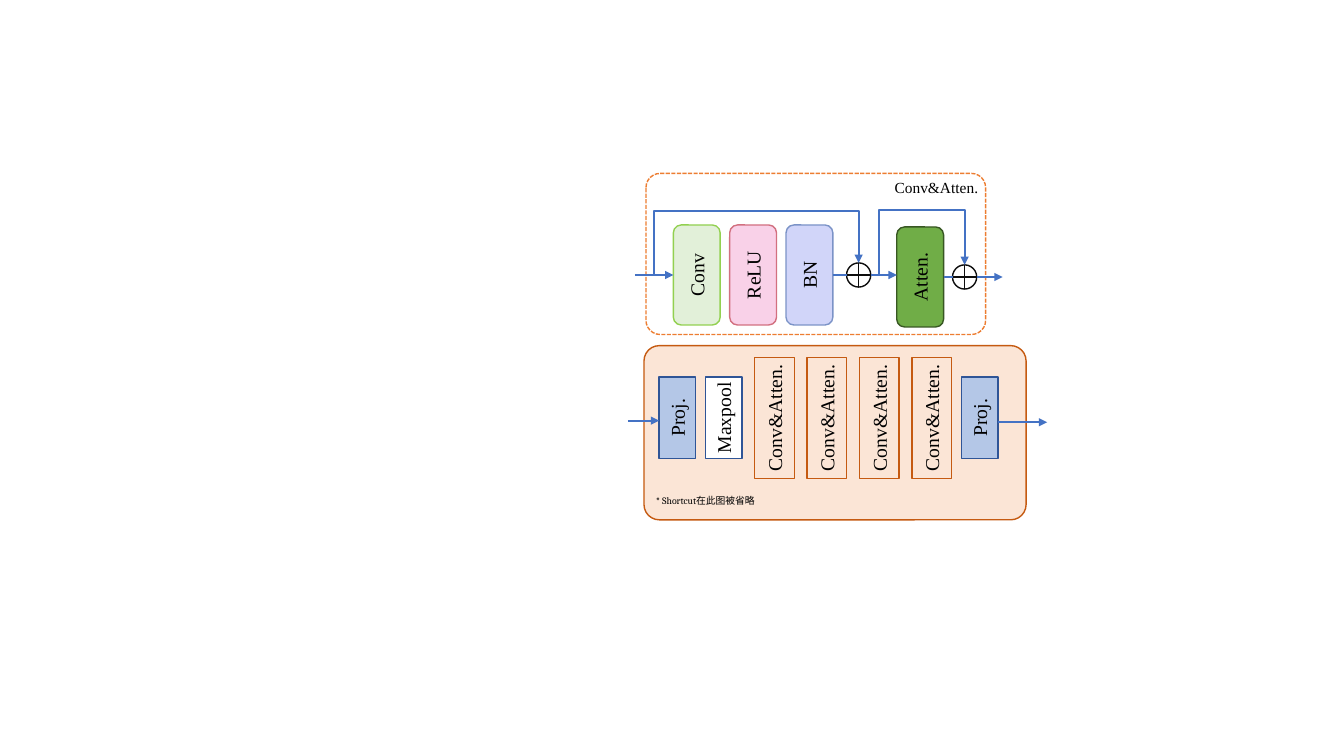
from lxml import etree
from pptx import Presentation
from pptx import util as u
from pptx.dml.color import RGBColor
from pptx.enum import dml, shapes, text
from pptx.oxml.ns import qn

SERIF = "Times New Roman"
FLOW_BLUE = "4472C4"
SUM_SIZE = 0.61


def color(value):
    """Return the colour for a hex string."""
    return RGBColor.from_string(value)


def add_box(slide, kind, left, top, width, height, fill, line, corner=None):
    """Add an outlined preset shape, unfilled when fill is None."""
    shape = slide.shapes.add_shape(kind, u.Cm(left), u.Cm(top), u.Cm(width), u.Cm(height))
    shape.shadow.inherit = False
    if fill:
        shape.fill.solid()
        shape.fill.fore_color.rgb = color(fill)
    else:
        shape.fill.background()
    shape.line.color.rgb = color(line)
    shape.line.width = u.Pt(1)
    if corner:
        shape.adjustments[0] = corner
    return shape


def add_text(slide, left, top, width, height, words, size, font=SERIF):
    """Add a wrapping text box and return it with its paragraph."""
    shape = slide.shapes.add_textbox(u.Cm(left), u.Cm(top), u.Cm(width), u.Cm(height))
    shape.text_frame.word_wrap = True
    paragraph = shape.text_frame.paragraphs[0]
    paragraph.add_run().text = words
    paragraph.font.size = u.Pt(size)
    paragraph.font.name = font
    paragraph.font.color.rgb = color("000000")
    return shape, paragraph


def add_layer(slide, kind, left, top, width, height, fill, line, label, length=2.36):
    """Add a network layer with its label turned upwards and centred on it."""
    layer = add_box(slide, kind, left, top, width, height, fill, line)
    thickness = 0.86
    shape, paragraph = add_text(slide, left + (width - length) / 2,
                                top + (height - thickness) / 2, length, thickness, label, 14)
    paragraph.alignment = text.PP_ALIGN.CENTER
    shape.rotation = 270
    return layer


def add_flow(slide, start, end, arrow=True, kind=shapes.MSO_CONNECTOR.STRAIGHT):
    """Add a blue connector between two points."""
    connector = slide.shapes.add_connector(kind, *(u.Cm(value) for value in start + end))
    connector.line.color.rgb = color(FLOW_BLUE)
    connector.line.width = u.Pt(1.5)
    properties = connector._element.spPr
    if arrow:
        etree.SubElement(properties.find(qn("a:ln")), qn("a:tailEnd"), type="triangle")
    etree.SubElement(properties, qn("a:effectLst"))
    return connector


def add_shortcut(slide, start, end, peak):
    """Add an elbow that rises to peak and drops onto end."""
    connector = add_flow(slide, start, end, kind=shapes.MSO_CONNECTOR.ELBOW)
    geometry = connector._element.spPr.find(qn("a:prstGeom"))
    geometry.set("prst", "bentConnector4")
    guides = geometry.find(qn("a:avLst"))
    rise = round((start[1] - peak) / (start[1] - end[1]) * 100000)
    for name, value in (("adj1", 0), ("adj2", rise)):
        etree.SubElement(guides, qn("a:gd"), name=name, fmla=f"val {value}")


def add_sum(slide, center_x, center_y):
    """Add a circled plus around a centre and return its top point."""
    radius = SUM_SIZE / 2
    add_box(slide, shapes.MSO_SHAPE.FLOWCHART_OR, center_x - radius, center_y - radius,
            SUM_SIZE, SUM_SIZE, "FFFFFF", "0D0D0D")
    return center_x, center_y - radius


def add_stage(slide, left, top, width, height):
    """Draw the whole stage: projections, pooling and repeated blocks."""
    add_box(slide, shapes.MSO_SHAPE.ROUNDED_RECTANGLE, left, top, width, height,
            "FBE5D6", "C55A11", 0.088)
    for offset, label, fill, length in ((0.38, "Proj.", "B4C7E7", 1.85),
                                        (1.55, "Maxpool", "FFFFFF", 2.36),
                                        (8, "Proj.", "B4C7E7", 1.85)):
        add_layer(slide, shapes.MSO_SHAPE.RECTANGLE, left + offset, top + 0.79, 0.92, 2.06,
                  fill, "2F5597", label, length)
    for index in range(4):
        add_layer(slide, shapes.MSO_SHAPE.RECTANGLE, left + 2.79 + 1.32 * index, top + 0.3,
                  1, 3.05, "FBE5D6", "C55A11", "Conv&Atten.", 3.2)
    add_flow(slide, (left - 0.41, top + 1.89), (left + 0.38, top + 1.89))
    add_flow(slide, (left + 8.92, top + 1.93), (left + 10.16, top + 1.93))

    paragraph = add_text(slide, left + 0.05, top + 3.63, 3.73, 0.56,
                         "* Shortcut", 7, "Cambria")[1]
    chinese = paragraph.add_run()
    chinese.text = "在此图被省略"
    chinese.font.name = "Noto Sans CJK SC"
    etree.SubElement(chinese.font._element, qn("a:ea"), typeface="Noto Sans CJK SC")


def add_block(slide, left, top, width, height):
    """Draw the convolution and attention block with its two shortcuts."""
    frame = add_box(slide, shapes.MSO_SHAPE.ROUNDED_RECTANGLE, left, top, width, height,
                    None, "ED7D31", 0.088)
    frame.line.dash_style = dml.MSO_LINE.SQUARE_DOT
    title = add_text(slide, left + 5.72, top, 3.2, 0.74, "Conv&Atten.", 11)[1]
    title.alignment = text.PP_ALIGN.CENTER

    layers = {}
    for offset_x, offset_y, label, fill, line in (
            (0.69, 1.3, "Conv", "E2F0D9", "92D050"),
            (2.11, 1.3, "ReLU", "F9D1E8", "D27080"),
            (3.53, 1.3, "BN", "D1D5F9", "7B93C7"),
            (6.32, 1.35, "Atten.", "70AD47", "385723")):
        layers[label] = add_layer(slide, shapes.MSO_SHAPE.ROUNDED_RECTANGLE, left + offset_x,
                                  top + offset_y, 1.18, 2.52, fill, line, label)

    conv_y, atten_y = top + 2.56, top + 2.61
    first_x, second_x = left + 5.36, left + 8.03
    radius = SUM_SIZE / 2
    first_top = add_sum(slide, first_x, conv_y)
    second_top = add_sum(slide, second_x, atten_y)
    add_shortcut(slide, (left + 0.2, conv_y), first_top, top + 0.94)
    add_shortcut(slide, (left + 5.87, conv_y), second_top, top + 0.92)

    entry = add_flow(slide, (left - 0.28, conv_y), (left + 0.69, conv_y))
    entry.end_connect(layers["Conv"], 1)
    for label, offset, center_x, y in (("BN", 4.71, first_x, conv_y),
                                       ("Atten.", 7.5, second_x, atten_y)):
        joint = add_flow(slide, (left + offset, y), (center_x - radius, y), arrow=False)
        joint.begin_connect(layers[label], 3)
    add_flow(slide, (first_x + radius, conv_y), (left + 6.32, conv_y))
    add_flow(slide, (second_x + radius, atten_y), (left + 8.99, atten_y))


def main():
    """Build the slide and save it."""
    presentation = Presentation()
    presentation.slide_width = u.Cm(33.87)
    presentation.slide_height = u.Cm(19.05)
    slide = presentation.slides.add_slide(presentation.slide_layouts[6])
    add_stage(slide, 16.23, 8.71, 9.63, 4.39)
    add_block(slide, 16.28, 4.37, 8.56, 4.06)
    presentation.save("out.pptx")


if __name__ == "__main__":
    main()
